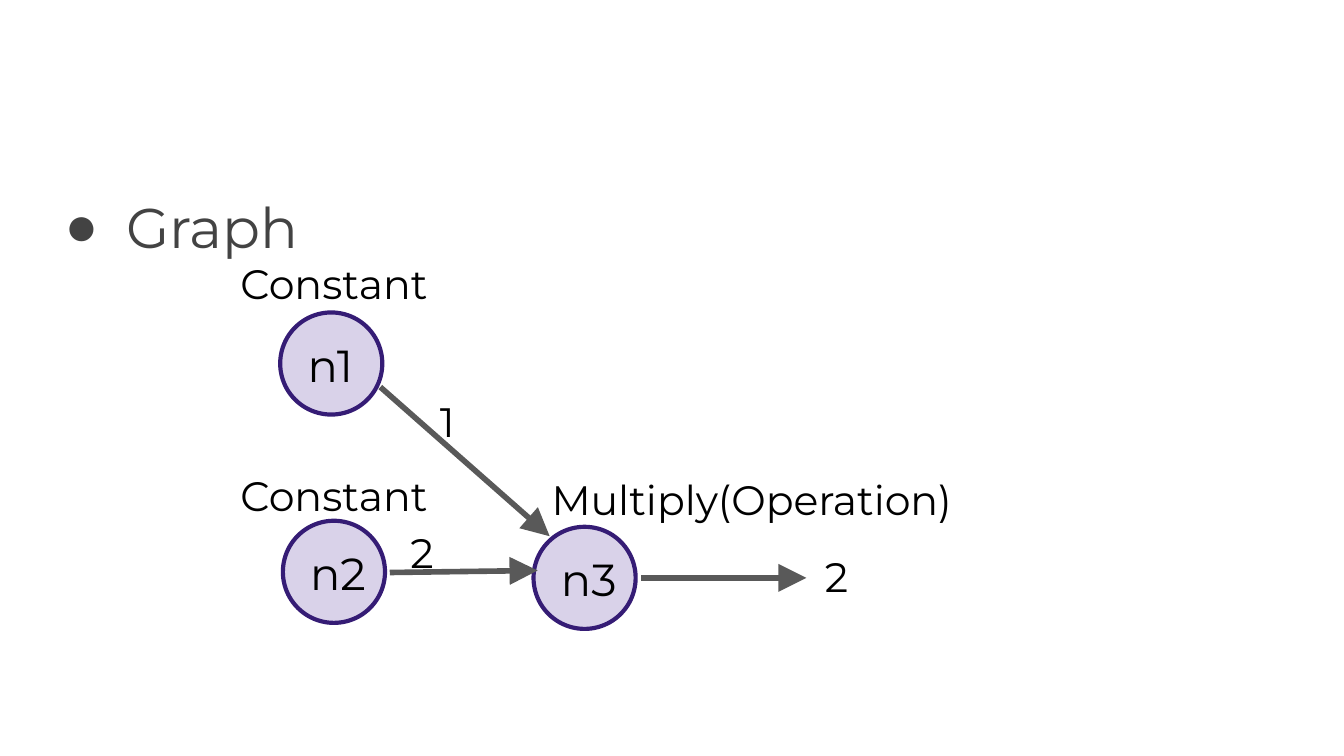
from lxml import etree
from pptx import Presentation
from pptx.dml.color import RGBColor
from pptx.enum.shapes import MSO_CONNECTOR, MSO_SHAPE
from pptx.enum.text import MSO_ANCHOR, MSO_AUTO_SIZE, PP_ALIGN
from pptx.oxml.ns import qn
from pptx.util import Inches, Pt

OVAL = MSO_SHAPE.OVAL
STRAIGHT = MSO_CONNECTOR.STRAIGHT
TOP = MSO_ANCHOR.TOP
FIXED = MSO_AUTO_SIZE.NONE
LEFT = PP_ALIGN.LEFT

FONT = "Montserrat"
BLACK = RGBColor(0x00, 0x00, 0x00)
HEADING = RGBColor(0x43, 0x43, 0x43)
LILAC = RGBColor(0xD9, 0xD2, 0xE9)
PURPLE = RGBColor(0x35, 0x1C, 0x75)
GREY = RGBColor(0x59, 0x59, 0x59)

topic = "Graph"
nodes = [("n1", 20.85, 23.25), ("n2", 21.05, 38.75), ("n3", 39.7, 39.2)]
edges = [
    (28.3, 28.8, 40.9, 39.9),
    (29, 42.6, 40, 42.45),
    (47.7, 43, 60, 43),
]
captions = [
    ("Constant", 16.9, 18.25, 16.4),
    ("Constant", 16.9, 34, 16.4),
    ("Multiply(Operation)", 40.05, 34.3, 38.5),
    ("1", 31.75, 28.5, 16.4),
    ("2", 29.55, 38.25, 16.4),
    ("2", 60.4, 40.05, 16.4),
]

presentation = Presentation()
presentation.slide_width = Inches(10)
presentation.slide_height = presentation.slide_width * 9 // 16
CELL = presentation.slide_width / 100
NODE_SIZE = 7.6
NODE_TEXT_INSET = (1.05, 0.87)
TEXT_HEIGHT = 3.4

slide = presentation.slides.add_slide(presentation.slide_layouts[1])
heading = slide.shapes.title
heading.element.getparent().remove(heading.element)


def cells(*counts):
    return [round(count * CELL) for count in counts]


def write(holder, text, size, color):
    frame = holder.text_frame
    frame.word_wrap = True
    frame.auto_size = FIXED
    frame.vertical_anchor = TOP
    frame.margin_left = frame.margin_right = Inches(0.1)
    frame.margin_top = frame.margin_bottom = Inches(0.1)
    paragraph = frame.paragraphs[0]
    paragraph.alignment = LEFT
    run = paragraph.add_run()
    run.text = text
    run.font.name = FONT
    run.font.size = Pt(size)
    run.font.color.rgb = color
    return paragraph


def add_label(text, left, top, width, size):
    box = slide.shapes.add_textbox(*cells(left, top, width, TEXT_HEIGHT))
    write(box, text, size, BLACK)


body = slide.placeholders[1]
body.left, body.top, body.width, body.height = cells(3.4, 12.6, 96.1, 6.3)
bullet_line = write(body, topic, 30, HEADING)
bullet_line.line_spacing = 1.15
bullet_line.space_before = Pt(0)
bullet_line.space_after = Pt(16)
properties = bullet_line._p.get_or_add_pPr()
properties.set("marL", str(Inches(0.5)))
properties.set("indent", str(Inches(-0.46)))
bullet_color = etree.SubElement(properties, qn("a:buClr"))
etree.SubElement(bullet_color, qn("a:srgbClr"), val=str(HEADING))
etree.SubElement(properties, qn("a:buChar"), char="●")

for name, left, top in nodes:
    circle = slide.shapes.add_shape(OVAL, *cells(left, top, NODE_SIZE, NODE_SIZE))
    circle.shadow.inherit = False
    circle.fill.solid()
    circle.fill.fore_color.rgb = LILAC
    circle.line.color.rgb = PURPLE
    circle.line.width = Pt(2.25)
    inset_x, inset_y = NODE_TEXT_INSET
    add_label(name, left + inset_x, top + inset_y, 6.2, 24)

for edge in edges:
    arrow = slide.shapes.add_connector(STRAIGHT, *cells(*edge))
    arrow.line.color.rgb = GREY
    arrow.line.width = Pt(3)
    etree.SubElement(
        arrow.line._get_or_add_ln(), qn("a:tailEnd"), type="triangle", w="lg", len="lg"
    )
    etree.SubElement(arrow.element.spPr, qn("a:effectLst"))

for text, left, top, width in captions:
    add_label(text, left, top, width, 22)

presentation.save("out.pptx")
